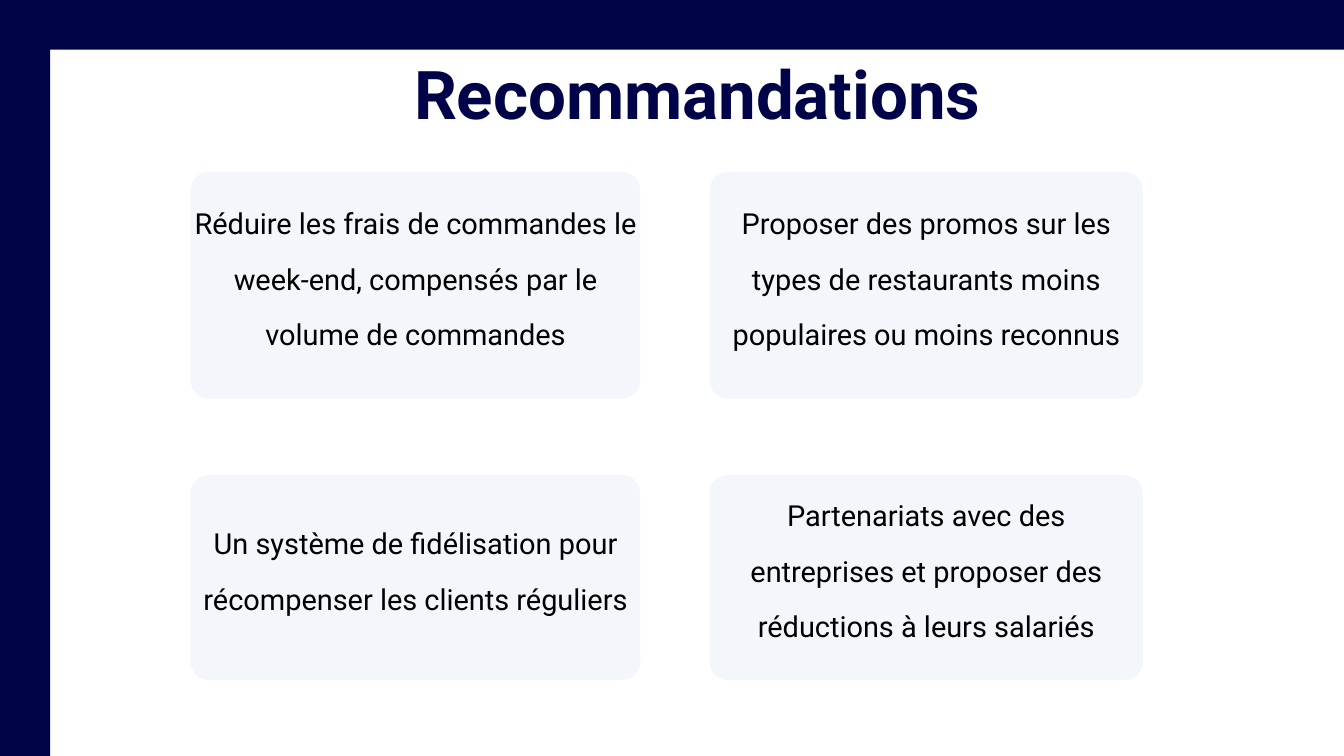
from pptx import Presentation
from pptx.dml.color import RGBColor
from pptx.enum.shapes import MSO_SHAPE
from pptx.enum.text import MSO_ANCHOR, PP_ALIGN
from pptx.util import Cm, Pt

NAVY = RGBColor(0x01, 0x03, 0x49)
PALE = RGBColor(0xF3, 0xF6, 0xFA)
BLACK = RGBColor(0, 0, 0)

COLUMNS = [(7.21, 16.99), (26.82, 16.38)]
ROWS = [(6.5, 8.57), (17.96, 7.75)]
RADIUS = 0.69
TEXT_RISE = 1.3
IDEAS = [
    [
        "Réduire les frais de commandes le week-end, compensés par le volume de commandes",
        "Proposer des promos sur les types de restaurants moins populaires ou moins reconnus",
    ],
    [
        "Un système de fidélisation pour récompenser les clients réguliers",
        "Partenariats avec des entreprises et proposer des réductions à leurs salariés",
    ],
]

prs = Presentation()
prs.slide_width, prs.slide_height = Cm(50.8), Cm(28.58)
s = prs.slides.add_slide(prs.slide_layouts[6])


def add_block(kind, x, y, w, h, color):
    sp = s.shapes.add_shape(kind, Cm(x), Cm(y), Cm(w), Cm(h))
    sp.shadow.inherit = False
    sp.fill.solid()
    sp.fill.fore_color.rgb = color
    sp.line.fill.background()
    return sp


def add_text(text, x, y, w, h, inset, size, color, bold=False):
    tf = s.shapes.add_textbox(Cm(x), Cm(y), Cm(w), Cm(h)).text_frame
    tf.word_wrap = True
    tf.margin_left = tf.margin_right = tf.margin_top = tf.margin_bottom = Cm(inset)
    p = tf.paragraphs[0]
    p.text = text
    p.alignment = PP_ALIGN.CENTER
    p.font.name = "Roboto"
    p.font.size = Pt(size)
    p.font.bold = bold
    p.font.color.rgb = color
    return tf


add_block(MSO_SHAPE.RECTANGLE, 0, 0, 1.9, 28.58, NAVY)
add_block(MSO_SHAPE.RECTANGLE, 1.22, 0, 49.58, 1.88, NAVY)

for (y, h), ideas in zip(ROWS, IDEAS):
    for (x, w), idea in zip(COLUMNS, ideas):
        card = add_block(MSO_SHAPE.ROUNDED_RECTANGLE, x, y, w, h, PALE)
        card.adjustments[0] = RADIUS / h
        tf = add_text(idea, x, y - TEXT_RISE, w, h + TEXT_RISE, 0.14, 31, BLACK)
        tf.vertical_anchor = MSO_ANCHOR.MIDDLE
        tf.paragraphs[0].line_spacing = 1.6

add_text("Recommandations", 13.79, 1.96, 25.15, 3.07, 0, 72, NAVY, bold=True)

prs.save("out.pptx")
